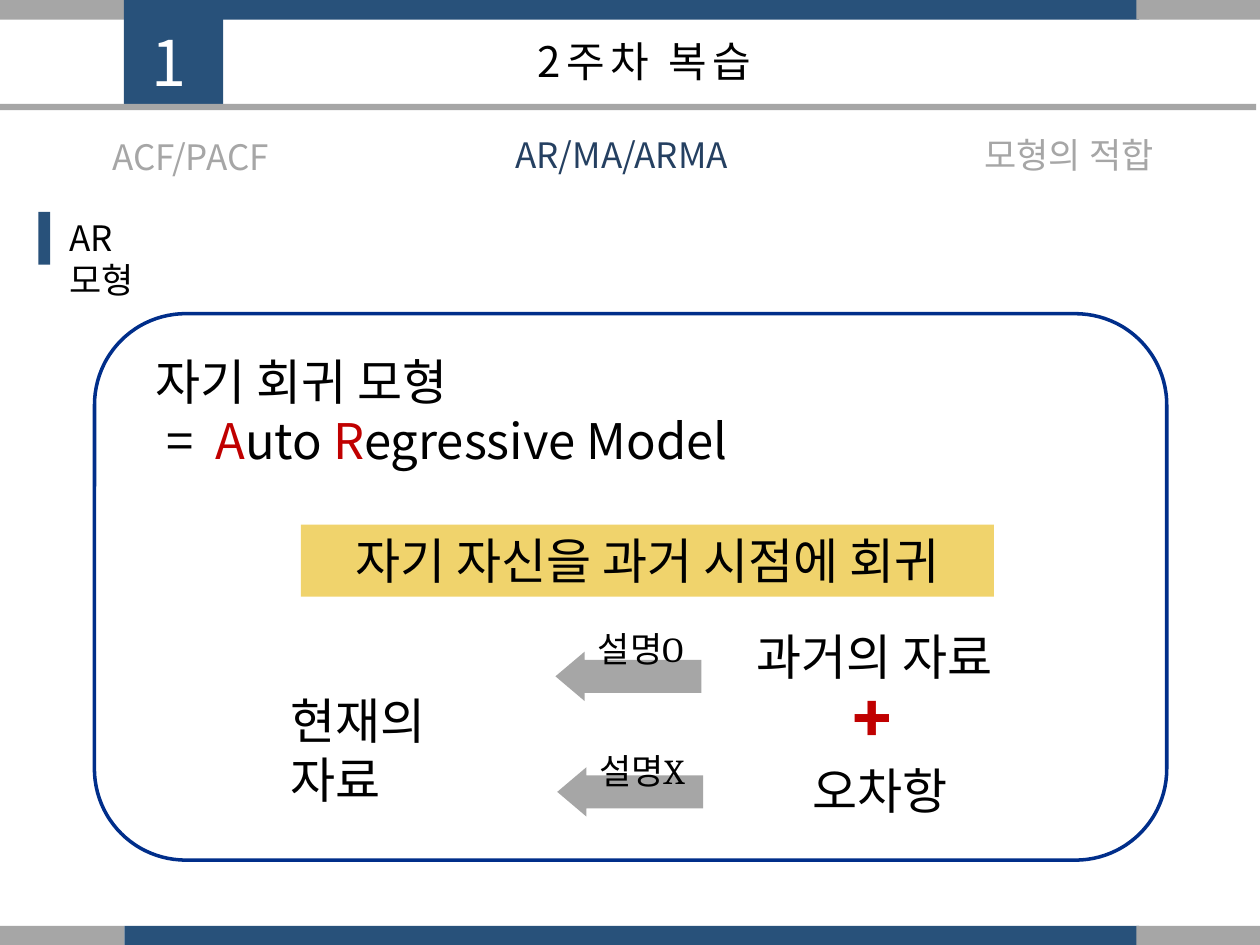
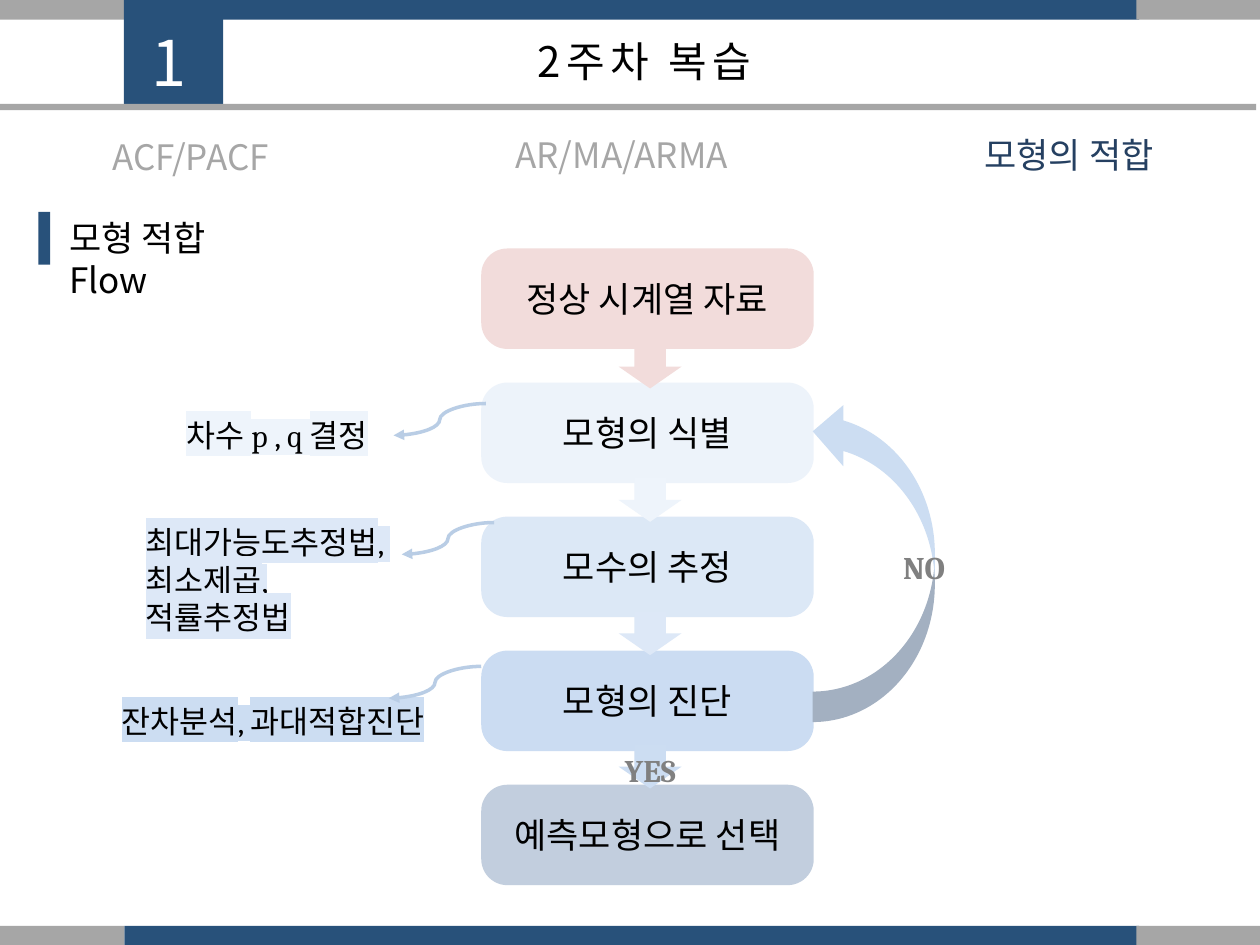
from dataclasses import dataclass
from typing import Optional

from lxml.etree import SubElement
from pptx import Presentation
from pptx.dml.color import RGBColor
from pptx.enum.shapes import MSO_CONNECTOR, MSO_SHAPE
from pptx.enum.text import MSO_ANCHOR, MSO_AUTO_SIZE, PP_ALIGN
from pptx.oxml.ns import qn
from pptx.util import Pt

NAVY = RGBColor(0x28, 0x51, 0x7A)
INK = RGBColor(0x25, 0x40, 0x61)
GRAY = RGBColor(0xA6, 0xA6, 0xA6)
DIM = RGBColor(0x80, 0x80, 0x80)
BLACK = RGBColor(0, 0, 0)
WHITE = RGBColor(0xFF, 0xFF, 0xFF)
RED = RGBColor(0xC0, 0, 0)
GOLD = RGBColor(0xF0, 0xD3, 0x6C)
FRAME = RGBColor(0, 0x2E, 0x8A)
ROSE = RGBColor(0xF2, 0xDC, 0xDB)
PALE = RGBColor(0xEE, 0xF4, 0xFB)
SOFT = RGBColor(0xDD, 0xE8, 0xF7)
SKY = RGBColor(0xCC, 0xDD, 0xF2)
WIRE = RGBColor(0xB9, 0xCD, 0xE5)
SANS = "Noto Sans CJK KR"
SERIF = "Cambria"
TABS = ("ACF/PACF", "AR/MA/ARMA", "모형의 적합")


@dataclass(frozen=True)
class Box:
    """A frame in points."""
    x: float
    y: float
    w: float
    h: float

    def rect(self) -> tuple:
        """Give the frame as lengths."""
        return Pt(self.x), Pt(self.y), Pt(self.w), Pt(self.h)


@dataclass(frozen=True)
class Style:
    """The look of a text run."""
    size: float
    font: str = SANS
    tint: RGBColor = BLACK
    bold: bool = False
    gap: float = 0
    mark: Optional[RGBColor] = None


@dataclass(frozen=True)
class Step:
    """A box of the flow, with the arrow below it."""
    text: str
    fill: RGBColor
    alpha: Optional[int]
    arrow: Optional[RGBColor]


@dataclass(frozen=True)
class Note:
    """A marked side note with its curved lead."""
    box: Box
    lines: tuple
    mark: RGBColor
    start: tuple


STEPS = (
    Step("정상 시계열 자료", ROSE, None, ROSE),
    Step("모형의 식별", RGBColor(0xC6, 0xD9, 0xF1), 30, PALE),
    Step("모수의 추정", RGBColor(0x8E, 0xB4, 0xE3), 30, SOFT),
    Step("모형의 진단", RGBColor(0x55, 0x8E, 0xD5), 30, SKY),
    Step("예측모형으로 선택", RGBColor(0x37, 0x60, 0x92), 30, None),
)
NOTES = (
    Note(Box(99.4, 234, 152, 29), ("차수 p , q 결정",), PALE, (277.7, 230.6)),
    Note(Box(76.3, 295.2, 166.3, 51),
         ("최대가능도추정법, ", "최소제곱, 적률추정법"), SOFT, (282.4, 298.6)),
    Note(Box(62.6, 397.4, 190, 29), ("잔차분석, 과대적합진단",), SKY, (275, 380.8)),
)


def shape(slide, kind, box: Box, fill: Optional[RGBColor] = None,
          alpha: Optional[int] = None, turn: float = 0, knobs: tuple = ()):
    """Draw a preset shape without outline or shadow."""
    form = slide.shapes.add_shape(kind, *box.rect())
    form.shadow.inherit = False
    form.line.fill.background()
    form.rotation = turn
    for i, knob in enumerate(knobs):
        form.adjustments[i] = knob
    if fill is None:
        form.fill.background()
    else:
        form.fill.solid()
        form.fill.fore_color.rgb = fill
    if alpha is not None:
        tint = form._element.spPr.find(qn("a:solidFill"))[0]
        SubElement(tint, qn("a:alpha")).set("val", str(alpha * 1000))
    return form


def add_run(para, text: str, style: Style) -> None:
    """Add one styled run to a paragraph."""
    run = para.add_run()
    run.text = text
    font = run.font
    font.size, font.bold, font.name = Pt(style.size), style.bold, style.font
    font.color.rgb = style.tint
    props = run._r.get_or_add_rPr()
    if style.gap:
        props.set("spc", str(round(style.gap * 100)))
    latin = props.find(qn("a:latin"))
    asian = SubElement(props, qn("a:ea"))
    asian.set("typeface", SANS)
    latin.addnext(asian)
    if style.mark is not None:
        high = SubElement(props, qn("a:highlight"))
        SubElement(high, qn("a:srgbClr")).set("val", str(style.mark))
        latin.addprevious(high)


def write(form, lines: tuple, style: Style, align=PP_ALIGN.LEFT,
          anchor=MSO_ANCHOR.TOP) -> None:
    """Fill a shape with one paragraph per line."""
    frame = form.text_frame
    frame.word_wrap = True
    frame.vertical_anchor = anchor
    for i, line in enumerate(lines):
        para = frame.add_paragraph() if i else frame.paragraphs[0]
        para.alignment = align
        add_run(para, line, style)


def label(slide, box: Box, lines: tuple, style: Style, align=PP_ALIGN.LEFT):
    """Add a text box that fits its text."""
    form = slide.shapes.add_textbox(*box.rect())
    write(form, lines, style, align)
    form.text_frame.auto_size = MSO_AUTO_SIZE.SHAPE_TO_FIT_TEXT
    return form


def lead(slide, start: tuple) -> None:
    """Draw a curved arrow down and left from a point."""
    x, y = start
    link = slide.shapes.add_connector(
        MSO_CONNECTOR.CURVE, Pt(x), Pt(y), Pt(x - 52.8), Pt(y + 18.2))
    link.line.color.rgb = WIRE
    link.line.width = Pt(2)
    line = link.line._get_or_add_ln()
    SubElement(line, qn("a:tailEnd")).set("type", "triangle")
    SubElement(link._element.spPr, qn("a:effectLst"))


def base(deck, live: int, head: str, width: float):
    """Start a slide with bands, title, tabs and heading."""
    slide = deck.slides.add_slide(deck.slide_layouts[6])
    rect = MSO_SHAPE.RECTANGLE
    for y in (0, 529):
        for x, w, fill in ((71, 580, NAVY), (0, 71, GRAY), (649.4, 70.6, GRAY)):
            shape(slide, rect, Box(x, y, w, 11.2), fill)
    shape(slide, rect, Box(70.8, 0, 56.7, 59.8), NAVY)
    shape(slide, rect, Box(-3.6, 59.4, 721.4, 3.6), GRAY)
    label(slide, Box(65.5, 10, 62.6, 51), ("1",),
          Style(36, tint=WHITE, gap=3), PP_ALIGN.CENTER)
    label(slide, Box(218.2, 16.6, 300.2, 36), ("2주차 복습",),
          Style(24, gap=3), PP_ALIGN.CENTER)
    for i, (text, x, y) in enumerate(zip(TABS, (38, 284.4, 540), (73.6, 72.6, 72.6))):
        tint = INK if i == live else GRAY
        label(slide, Box(x, y, 141.8, 31.5), (text,), Style(20, tint=tint),
              PP_ALIGN.CENTER)
    shape(slide, rect, Box(22, 121, 6.7, 30.2), NAVY)
    label(slide, Box(32.4, 120.2, width, 31.5), (head,), Style(20))
    return slide


def model(deck) -> None:
    """Build the slide on the AR model."""
    slide = base(deck, 1, "AR 모형", 69)
    panel = shape(slide, MSO_SHAPE.ROUNDED_RECTANGLE, Box(54, 179.3, 612.7, 312.2))
    panel.line.color.rgb = FRAME
    panel.line.width = Pt(2)
    big, red = Style(28), Style(28, tint=RED)
    name = label(slide, Box(82, 197.3, 396, 75), ("자기 회귀 모형",), big)
    para = name.text_frame.add_paragraph()
    para._p.get_or_add_pPr().set("marL", str(Pt(6.3)))
    for text, style in (("= ", Style(28, gap=3)), ("A", red), ("uto ", big),
                        ("R", red), ("egressive Model", big)):
        add_run(para, text, style)
    bar = shape(slide, MSO_SHAPE.RECTANGLE, Box(172, 299.8, 396, 41.2), GOLD)
    write(bar, ("자기 자신을 과거 시점에 회귀",), Style(28, SERIF), PP_ALIGN.CENTER)
    for x, y in ((345, 344.8), (346, 410.8)):
        shape(slide, MSO_SHAPE.DOWN_ARROW, Box(x, y, 28.2, 83.4), GRAY,
              turn=90, knobs=(0.67, 0.59))
    small, wide = Style(20, SERIF), Style(28, SERIF)
    plus = Style(48, SERIF, RED, True)
    for text, box, style in (
            ("설명O", Box(334.6, 355, 71.3, 31.5), small),
            ("오차항", Box(457.2, 431.3, 167, 41.2), wide),
            ("설명X", Box(335.6, 424.8, 83.5, 31.5), small),
            ("+", Box(477.4, 373, 58.3, 65.5), plus),
            ("현재의 자료", Box(159.1, 391, 149, 41.2), big),
            ("과거의 자료", Box(425.4, 354.5, 149.8, 41.2), big)):
        label(slide, box, (text,), style)


def flow(deck) -> None:
    """Build the slide on the fitting flow."""
    slide = base(deck, 2, "모형 적합 Flow", 139.7)
    for i, step in enumerate(STEPS):
        box = Box(275, 142 + 76.6 * i, 190, 57.4)
        form = shape(slide, MSO_SHAPE.ROUNDED_RECTANGLE, box, step.fill,
                     step.alpha, knobs=(0.26,))
        write(form, (step.text,), Style(20), PP_ALIGN.CENTER, MSO_ANCHOR.MIDDLE)
    for i, step in enumerate(STEPS[:-1]):
        shape(slide, MSO_SHAPE.DOWN_ARROW, Box(353.5, 197 + 76.2 * i, 36, 25),
              step.arrow)
    shape(slide, MSO_SHAPE.CURVED_RIGHT_ARROW, Box(464.4, 229, 69.8, 183.6),
          SKY, turn=180)
    word = Style(18, SERIF, DIM, True)
    label(slide, Box(350, 425.5, 50.4, 29), ("YES",), word)
    label(slide, Box(509, 309.6, 50.4, 29), ("NO",), word)
    for note in NOTES:
        label(slide, note.box, note.lines, Style(18, SERIF, mark=note.mark))
        lead(slide, note.start)


def main() -> None:
    """Build and save the deck."""
    deck = Presentation()
    deck.slide_width, deck.slide_height = Pt(720), Pt(540)
    model(deck)
    flow(deck)
    deck.save("out.pptx")


main()
